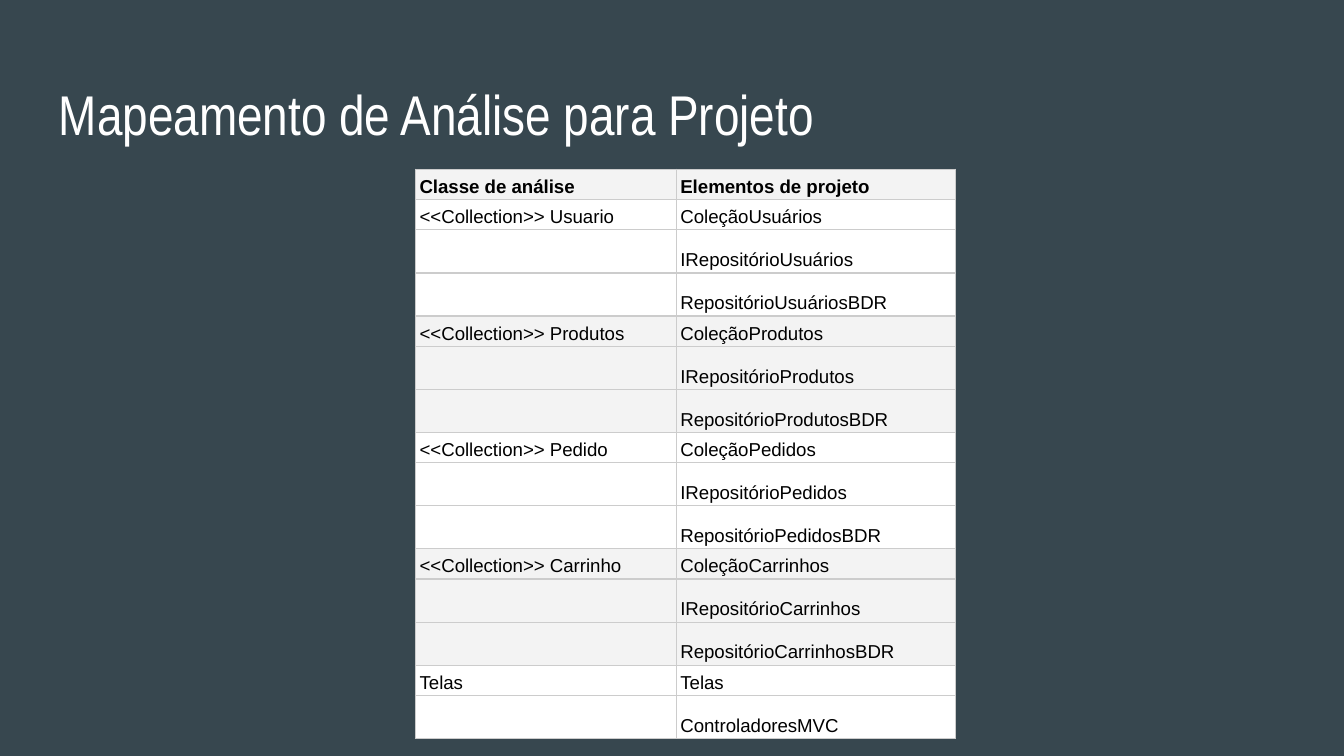
"""Build a slide that maps analysis classes to design elements."""
import pptx
import pptx.dml.color
import pptx.enum.text
import pptx.oxml
import pptx.oxml.ns
import pptx.util

Pt = pptx.util.Pt
COLORS = {
    "background": "37474F",
    "title": "FFFFFF",
    "text": "000000",
    "plain": "FFFFFF",
    "shaded": "F3F3F3",
    "border": "CCCCCC",
}
MAPPING = [
    ("Classe de análise", ["Elementos de projeto"]),
    ("<<Collection>> Usuario",
     ["ColeçãoUsuários", "IRepositórioUsuários", "RepositórioUsuáriosBDR"]),
    ("<<Collection>> Produtos",
     ["ColeçãoProdutos", "IRepositórioProdutos", "RepositórioProdutosBDR"]),
    ("<<Collection>> Pedido",
     ["ColeçãoPedidos", "IRepositórioPedidos", "RepositórioPedidosBDR"]),
    ("<<Collection>> Carrinho",
     ["ColeçãoCarrinhos", "IRepositórioCarrinhos", "RepositórioCarrinhosBDR"]),
    ("Telas", ["Telas", "ControladoresMVC"]),
]
FIRST_ROW_HEIGHT, NEXT_ROW_HEIGHT = 15.9, 23.1
COLUMN_WIDTHS = [139.7, 149.8]


def rgb(name):
    return pptx.dml.color.RGBColor.from_string(COLORS[name])


def add_borders(cell):
    properties = cell._tc.get_or_add_tcPr()
    for position, side in enumerate(("lnL", "lnR", "lnT", "lnB")):
        properties.insert(position, pptx.oxml.parse_xml(
            f'<a:{side} {pptx.oxml.ns.nsdecls("a")} w="{Pt(0.75)}"><a:solidFill>'
            f'<a:srgbClr val="{COLORS["border"]}"/></a:solidFill></a:{side}>'))


presentation = pptx.Presentation()
presentation.slide_width, presentation.slide_height = Pt(720), Pt(405)
slide = presentation.slides.add_slide(presentation.slide_layouts[6])
slide.background.fill.solid()
slide.background.fill.fore_color.rgb = rgb("background")

title = slide.shapes.add_textbox(Pt(24.5), Pt(35.3), Pt(671), Pt(45.4)).text_frame
title.word_wrap = True
title.margin_left = title.margin_right = Pt(7.2)
title.margin_top = title.margin_bottom = Pt(7.2)
heading = title.paragraphs[0]
heading.text = "Mapeamento de Análise para Projeto"
heading.font.name = "Arial Narrow"
heading.font.size = Pt(30)
heading.font.color.rgb = rgb("title")

rows = [
    (group, source if position == 0 else "", element)
    for group, (source, elements) in enumerate(MAPPING)
    for position, element in enumerate(elements)
]
heights = [FIRST_ROW_HEIGHT if source else NEXT_ROW_HEIGHT for _, source, _ in rows]
mapping = slide.shapes.add_table(
    len(rows), 2, Pt(222.6), Pt(90.7), Pt(sum(COLUMN_WIDTHS)), Pt(sum(heights))).table
for column, width in zip(mapping.columns, COLUMN_WIDTHS):
    column.width = Pt(width)

for index, (group, source, element) in enumerate(rows):
    mapping.rows[index].height = Pt(heights[index])
    for column, wording in enumerate((source, element)):
        cell = mapping.cell(index, column)
        cell.margin_left = cell.margin_right = Pt(2.2)
        cell.margin_top = cell.margin_bottom = Pt(1.2)
        cell.vertical_anchor = pptx.enum.text.MSO_ANCHOR.BOTTOM
        cell.fill.solid()
        cell.fill.fore_color.rgb = rgb("plain" if group % 2 else "shaded")
        add_borders(cell)
        entry = cell.text_frame.paragraphs[0]
        if wording:
            entry.text = wording
            entry.line_spacing = 1.15
        entry.font.name = "Arial"
        entry.font.size = Pt(10)
        entry.font.bold = group == 0
        entry.font.color.rgb = rgb("text")

presentation.save("out.pptx")
